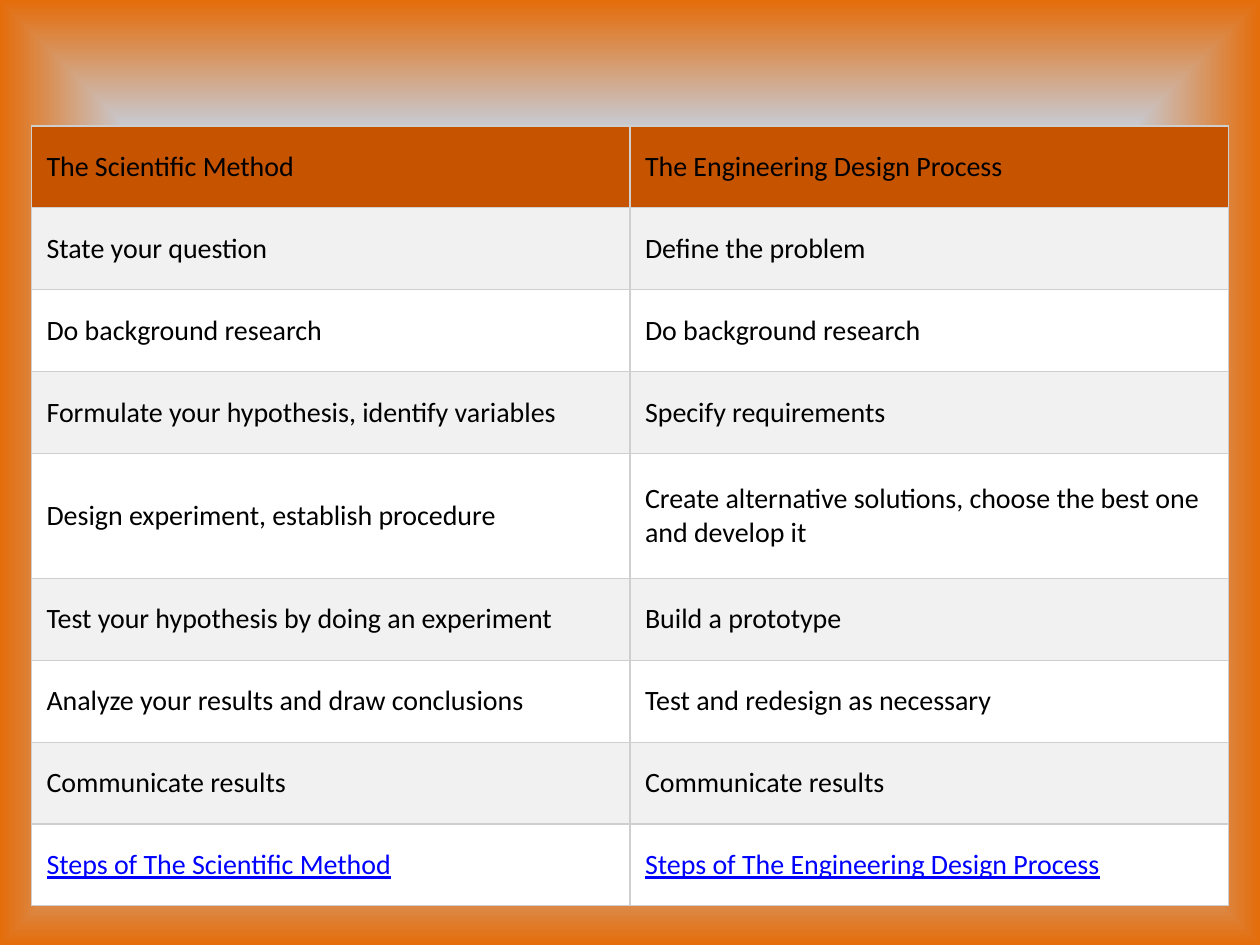
from pptx import Presentation
from pptx.dml.color import RGBColor
from pptx.enum.text import MSO_ANCHOR
from pptx.oxml import parse_xml
from pptx.oxml.ns import nsdecls, qn
from pptx.util import Inches, Pt

FONT = "Calibri"
BORDER = "CFCFCF"
HEADER_FILL = "C55300"
BAND_FILLS = ("FFFFFF", "F1F1F1")
TEXT_COLOR = "000000"
LINK_COLOR = "0000FF"
BACKGROUND_STOPS = [
    (40, "85C2FF", 100),
    (70, "C4D6EB", 100),
    (100, "E46C0A", 67),
    (100, "FFEBFA", 100),
]
STEPS = [
    ("The Scientific Method", "The Engineering Design Process"),
    ("State your question", "Define the problem"),
    ("Do background research", "Do background research"),
    ("Formulate your hypothesis, identify variables", "Specify requirements"),
    ("Design experiment, establish procedure",
     "Create alternative solutions, choose the best one and develop it"),
    ("Test your hypothesis by doing an experiment", "Build a prototype"),
    ("Analyze your results and draw conclusions", "Test and redesign as necessary"),
    ("Communicate results", "Communicate results"),
    ("Steps of The Scientific Method", "Steps of The Engineering Design Process"),
]
ROW_HEIGHT = 0.65
TALL_ROW, TALL_HEIGHT = 4, 0.99
COLUMN_WIDTH = 4.75


def color(hex_string):
    """Return the RGB colour for a hex string."""
    return RGBColor.from_string(hex_string)


def set_background(slide, stops):
    """Fill the slide background with a gradient that runs out from its centre."""
    slide.background.fill.solid()
    properties = slide._element.find(".//" + qn("p:bgPr"))
    stop_xml = "".join(
        f'<a:gs pos="{position * 1000}"><a:srgbClr val="{hex_string}">'
        + (f'<a:alpha val="{alpha * 1000}"/>' if alpha < 100 else "")
        + "</a:srgbClr></a:gs>"
        for position, hex_string, alpha in stops
    )
    gradient = parse_xml(
        f'<a:gradFill {nsdecls("a")} rotWithShape="1"><a:gsLst>{stop_xml}</a:gsLst>'
        '<a:path path="shape"><a:fillToRect l="50000" t="50000" r="50000" b="50000"/>'
        "</a:path></a:gradFill>"
    )
    properties.replace(properties[0], gradient)


def set_borders(cell, hex_string, width):
    """Draw the same line on all four sides of a cell."""
    properties = cell._tc.get_or_add_tcPr()
    for side in ("lnL", "lnR", "lnT", "lnB"):
        properties.append(parse_xml(
            f'<a:{side} {nsdecls("a")} w="{Pt(width)}"><a:solidFill>'
            f'<a:srgbClr val="{hex_string}"/></a:solidFill></a:{side}>'
        ))


def fill_cell(cell, text, fill, link_style):
    """Write and style one table cell."""
    set_borders(cell, BORDER, 0.75)
    cell.fill.solid()
    cell.fill.fore_color.rgb = color(fill)
    cell.vertical_anchor = MSO_ANCHOR.MIDDLE
    cell.margin_left = cell.margin_right = Inches(0.12)
    cell.margin_top = cell.margin_bottom = Inches(0.12)
    run = cell.text_frame.paragraphs[0].add_run()
    run.text = text
    run.font.name = FONT
    run.font.size = Pt(16)
    run.font.color.rgb = color(LINK_COLOR if link_style else TEXT_COLOR)
    if link_style:
        run.font.underline = True


def add_steps_table(slide, steps):
    """Add the two-column comparison of steps."""
    heights = [TALL_HEIGHT if row == TALL_ROW else ROW_HEIGHT for row in range(len(steps))]
    table = slide.shapes.add_table(
        len(steps), 2, Inches(0.25), Inches(1), Inches(2 * COLUMN_WIDTH), Inches(sum(heights))
    ).table
    table.horz_banding = False
    table.first_row = False
    for column in table.columns:
        column.width = Inches(COLUMN_WIDTH)
    for row, (height, texts) in enumerate(zip(heights, steps)):
        table.rows[row].height = Inches(height)
        fill = BAND_FILLS[row % 2] if row else HEADER_FILL
        for column, text in enumerate(texts):
            fill_cell(table.cell(row, column), text, fill, row == len(steps) - 1)


def main():
    """Build and save the slide."""
    presentation = Presentation()
    presentation.slide_width = Inches(10)
    presentation.slide_height = Inches(7.5)
    slide = presentation.slides.add_slide(presentation.slide_layouts[6])
    set_background(slide, BACKGROUND_STOPS)
    add_steps_table(slide, STEPS)
    presentation.save("out.pptx")


if __name__ == "__main__":
    main()
